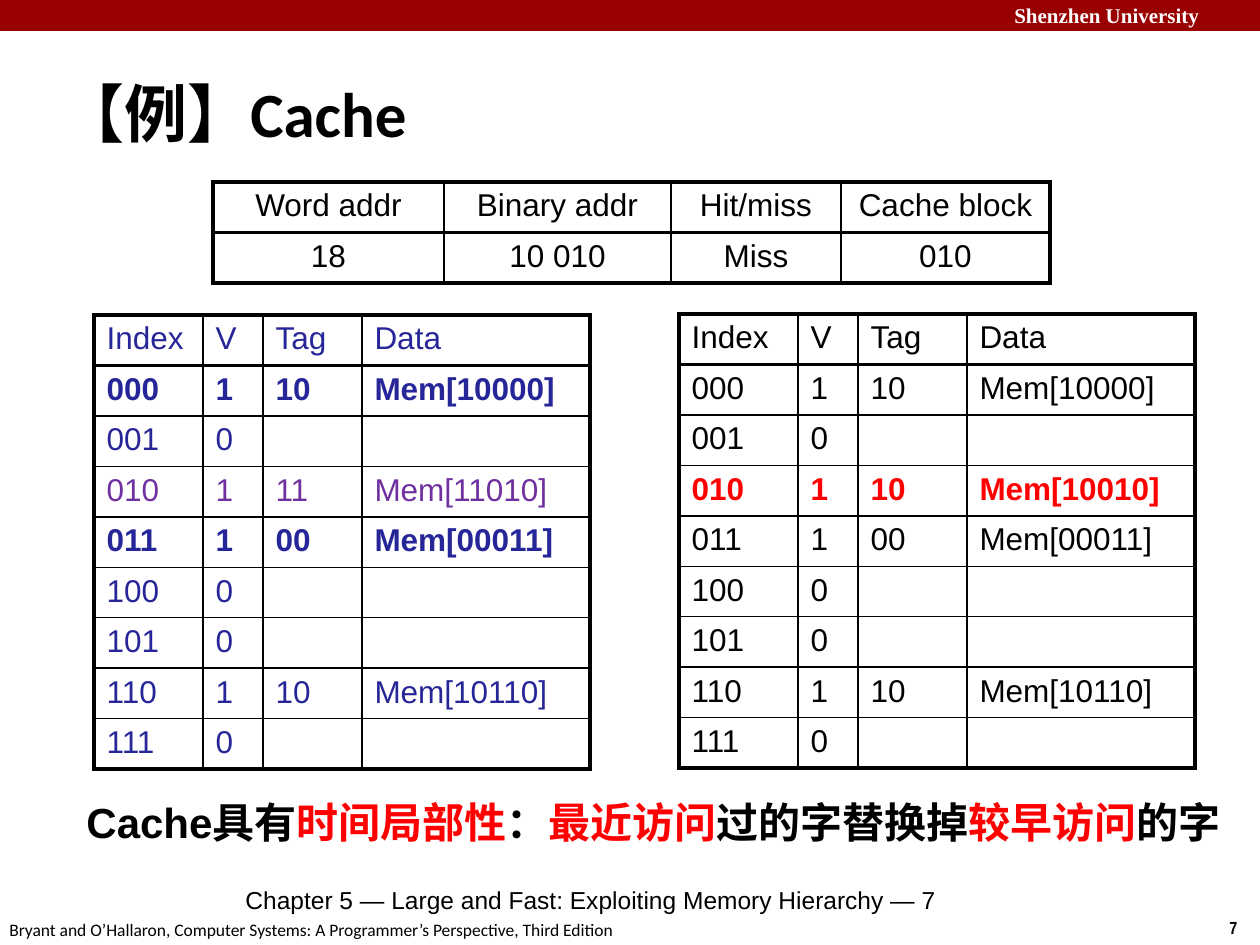
from dataclasses import dataclass

from lxml import etree
from pptx import Presentation
from pptx import util as u
from pptx.dml.color import RGBColor
from pptx.enum import shapes, text
from pptx.oxml import ns

EMU_PER_PX = 914400 / 126


def px(length):
    return u.Emu(round(length * EMU_PER_PX))


@dataclass(frozen=True)
class Theme:
    black: str = "000000"
    white: str = "FFFFFF"
    banner: str = "990000"
    red: str = "FF0000"
    navy: str = "262699"
    purple: str = "7030A0"
    body_font: str = "Arial"
    title_font: str = "Calibri"
    banner_font: str = "Times New Roman"
    number_font: str = "Arial Narrow"
    title_size: int = 36
    conclusion_size: int = 24
    table_size: int = 18
    chapter_size: int = 14
    banner_size: int = 12
    footer_size: int = 10
    outer_line: float = 2.25
    header_line: float = 1.5
    inner_line: float = 1


THEME = Theme()


def write_text(frame, content, *, size, font=THEME.body_font, color=THEME.black,
               bold=False, align=text.PP_ALIGN.LEFT):
    paragraph = frame.paragraphs[0]
    paragraph.alignment = align
    parts = [(content, color)] if isinstance(content, str) else content
    for wording, part_color in parts:
        run = paragraph.add_run()
        run.text = wording
        run.font.size = u.Pt(size)
        run.font.name = font
        run.font.bold = bold
        run.font.color.rgb = RGBColor.from_string(part_color)


class SlideBuilder:
    def __init__(self, slide, theme):
        self.slide = slide
        self.theme = theme

    def bar(self, left, top, width, height, color):
        shape = self.slide.shapes.add_shape(
            shapes.MSO_SHAPE.RECTANGLE, px(left), px(top), px(width), px(height))
        shape.shadow.inherit = False
        shape.fill.solid()
        shape.fill.fore_color.rgb = RGBColor.from_string(color)
        shape.line.fill.background()

    def label(self, left, top, width, height, content, *, wrap=True,
              anchor=text.MSO_ANCHOR.TOP, **style):
        shape = self.slide.shapes.add_textbox(px(left), px(top), px(width), px(height))
        shape.text_frame.word_wrap = wrap
        shape.text_frame.vertical_anchor = anchor
        write_text(shape.text_frame, content, **style)

    def border(self, cell, side, width):
        properties = cell._tc.get_or_add_tcPr()
        line = etree.SubElement(properties, ns.qn(f"a:ln{side}"), w=str(u.Pt(width)))
        fill = etree.SubElement(line, ns.qn("a:solidFill"))
        etree.SubElement(fill, ns.qn("a:srgbClr"), val=self.theme.black)

    def table(self, left, top, height, widths, rows, *, color=THEME.black,
              highlights=None, align=text.PP_ALIGN.LEFT):
        theme = self.theme
        highlights = highlights or {}
        table = self.slide.shapes.add_table(
            len(rows), len(widths), px(left), px(top), px(sum(widths)), px(height)).table
        table.first_row = False
        table.horz_banding = False
        for column, width in zip(table.columns, widths):
            column.width = px(width)
        column_lines = [theme.outer_line, *[theme.inner_line] * (len(widths) - 1),
                        theme.outer_line]
        row_lines = [theme.outer_line, theme.header_line,
                     *[theme.inner_line] * (len(rows) - 2), theme.outer_line]
        for i, values in enumerate(rows):
            row_color, bold = highlights.get(i, (color, False))
            for j, value in enumerate(values):
                cell = table.cell(i, j)
                self.border(cell, "L", column_lines[j])
                self.border(cell, "R", column_lines[j + 1])
                self.border(cell, "T", row_lines[i])
                self.border(cell, "B", row_lines[i + 1])
                cell.fill.background()
                if value:
                    write_text(cell.text_frame, value, size=theme.table_size,
                               color=row_color, bold=bold, align=align)


def cache_rows(replaced_tag):
    tags = {"000": "10", "010": replaced_tag, "011": "00", "110": "10"}
    rows = [("Index", "V", "Tag", "Data")]
    for number in range(8):
        index = f"{number:03b}"
        tag = tags.get(index)
        rows.append((index, "1", tag, f"Mem[{tag}{index}]") if tag
                    else (index, "0", "", ""))
    return rows


def main():
    theme = THEME
    presentation = Presentation()
    presentation.slide_width = px(1260)
    presentation.slide_height = px(945)
    slide = presentation.slides.add_slide(presentation.slide_layouts[6])
    builder = SlideBuilder(slide, theme)

    builder.bar(0, 0, 1260, 31, theme.banner)
    builder.label(1002, -4, 267, 38, "Shenzhen University", size=theme.banner_size,
                  font=theme.banner_font, color=theme.white, bold=True)
    builder.label(1217, 911, 43, 34, "7", wrap=False, size=theme.footer_size,
                  font=theme.number_font, bold=True)
    builder.label(-3, 913, 641, 34,
                  "Bryant and O’Hallaron, Computer Systems: "
                  "A Programmer’s Perspective, Third Edition",
                  wrap=False, size=theme.footer_size, font=theme.title_font)
    builder.label(233, 879, 1002, 49,
                  "Chapter 5 — Large and Fast: Exploiting Memory Hierarchy — 7",
                  size=theme.chapter_size)
    builder.label(49, 60, 1046, 105, "【例】Cache", anchor=text.MSO_ANCHOR.MIDDLE,
                  size=theme.title_size, font=theme.title_font, bold=True)

    builder.table(679, 314, 454, (119, 60, 109, 228), cache_rows("10"),
                  highlights={3: (theme.red, True)})
    builder.table(213, 182, 101, (231, 227, 170, 209),
                  [("Word addr", "Binary addr", "Hit/miss", "Cache block"),
                   ("18", "10 010", "Miss", "010")],
                  align=text.PP_ALIGN.CENTER)
    builder.table(94, 315, 454, (109, 60, 99, 228), cache_rows("11"), color=theme.navy,
                  highlights={1: (theme.navy, True), 3: (theme.purple, False),
                              4: (theme.navy, True)})

    builder.label(74, 790, 1167, 64,
                  [("Cache具有", theme.black), ("时间局部性", theme.red),
                   ("：", theme.black), ("最近访问", theme.red),
                   ("过的字替换掉", theme.black), ("较早访问", theme.red),
                   ("的字", theme.black)],
                  size=theme.conclusion_size, bold=True)
    presentation.save("out.pptx")


if __name__ == "__main__":
    main()
